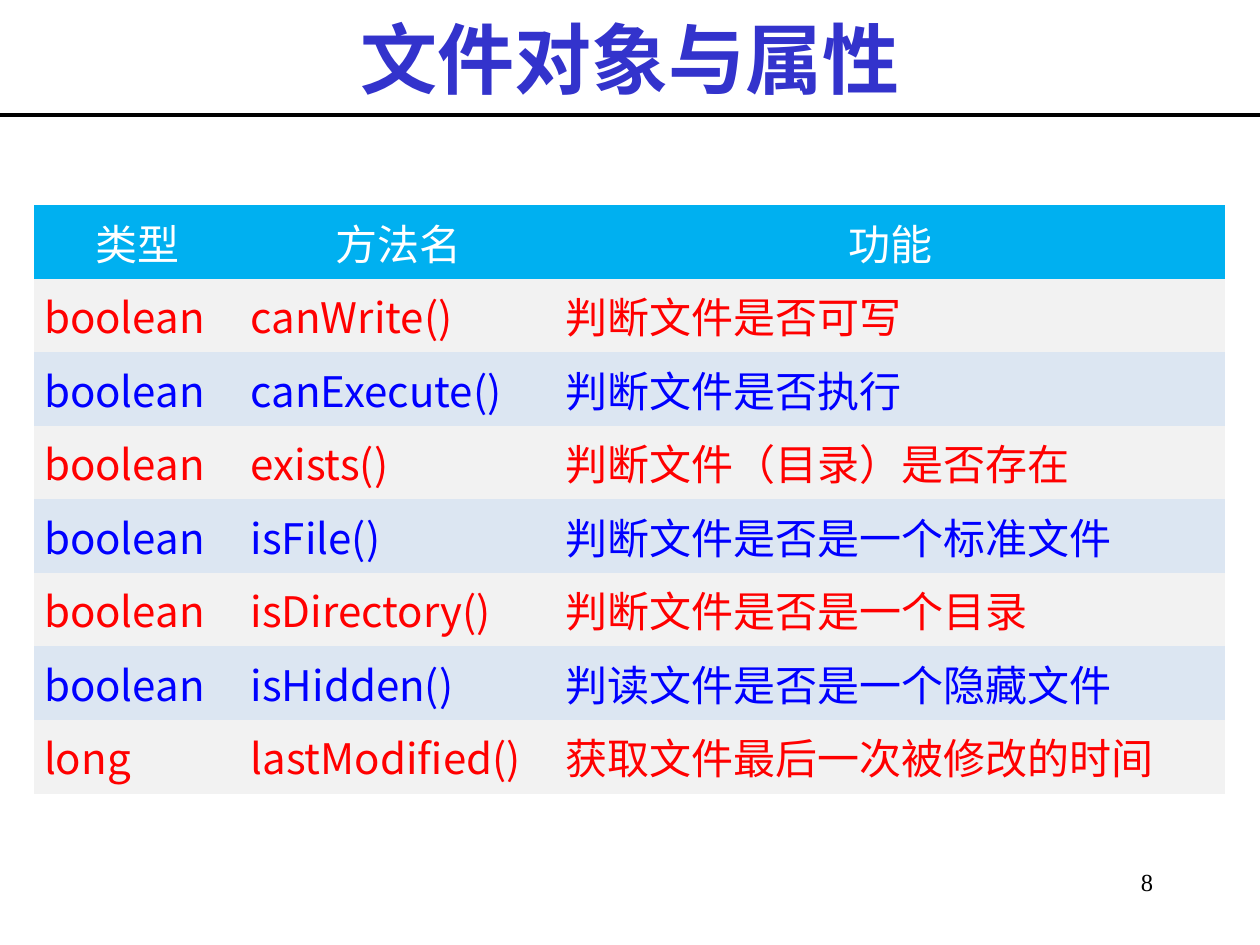
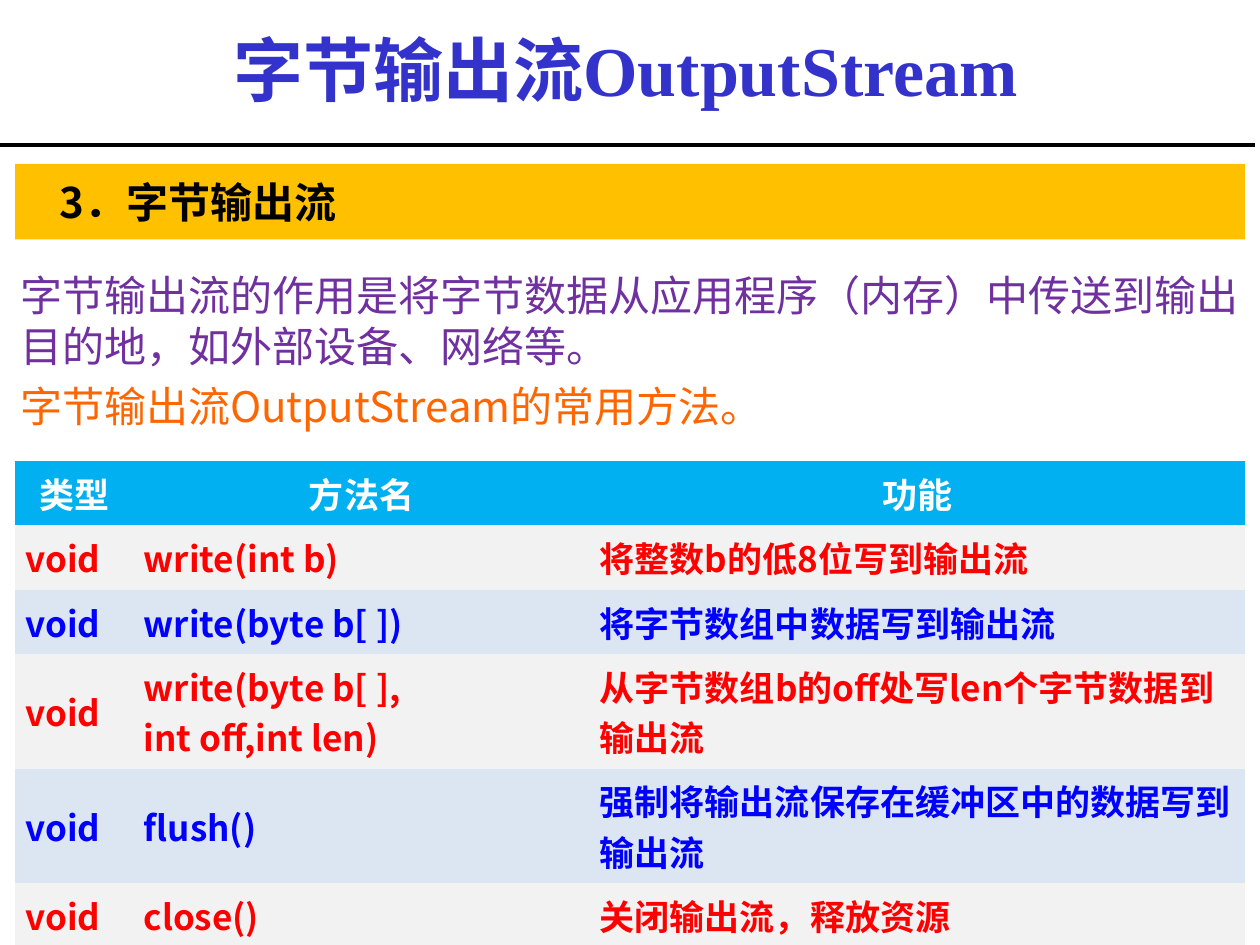
from lxml.etree import SubElement
from pptx import Presentation
from pptx.dml.color import RGBColor
from pptx.enum.shapes import MSO_CONNECTOR, MSO_SHAPE
from pptx.enum.text import MSO_ANCHOR, PP_ALIGN
from pptx.oxml.ns import qn
from pptx.util import Inches, Pt

HEADS = ("类型", "方法名", "功能")
FILE = {
    "title": "文件对象与属性", "size": 44, "box": (0.75, 0.07, 8.5, 0.77),
    "rule": (0, 0.91),
    "table": {
        "at": (0.27, 1.63), "cols": (1.64, 2.5, 5.31),
        "rows": (4.67 / 8,) * 8, "pad": 0.08, "size": 24, "bold": False,
        "body": [
            ("boolean", "canWrite()", "判断文件是否可写"),
            ("boolean", "canExecute()", "判断文件是否执行"),
            ("boolean", "exists()", "判断文件（目录）是否存在"),
            ("boolean", "isFile()", "判断文件是否是一个标准文件"),
            ("boolean", "isDirectory()", "判断文件是否是一个目录"),
            ("boolean", "isHidden()", "判读文件是否是一个隐藏文件"),
            ("long", "lastModified()", "获取文件最后一次被修改的时间"),
        ],
    },
}
STREAM = {
    "title": "字节输出流OutputStream", "size": 40, "box": (0.48, 0.09, 8.97, 0.91),
    "rule": (-0.04, 1.15),
    "table": {
        "at": (0.12, 3.66), "cols": (0.94, 3.62, 5.2),
        "rows": (0.51, 0.51, 0.51, 0.91, 0.91, 0.51),
        "pad": 0.08, "size": 20, "bold": True,
        "body": [
            ("void", "write(int b)", "将整数b的低8位写到输出流"),
            ("void", "write(byte b[ ])", "将字节数组中数据写到输出流"),
            ("void", "write(byte b[ ],\nint off,int len)",
             "从字节数组b的off处写len个字节数据到输出流"),
            ("void", "flush()", "强制将输出流保存在缓冲区中的数据写到输出流"),
            ("void", "close()", "关闭输出流，释放资源"),
        ],
    },
}
PAGE = "8"
TOPIC = "3．字节输出流"
INTRO = (
    "字节输出流的作用是将字节数据从应用程序（内存）中传送到输出目的地，如外部设备、网络等。",
    "字节输出流OutputStream的常用方法。",
)

SANS, SERIF = "Noto Sans CJK SC", "Times New Roman"
BLACK = RGBColor(0x00, 0x00, 0x00)
WHITE = RGBColor(0xFF, 0xFF, 0xFF)
INDIGO = RGBColor(0x33, 0x33, 0xCC)
PURPLE = RGBColor(0x70, 0x30, 0xA0)
ORANGE = RGBColor(0xFF, 0x66, 0x00)
AMBER = RGBColor(0xFF, 0xC0, 0x00)
SKY = RGBColor(0x00, 0xB0, 0xF0)
RED = RGBColor(0xFF, 0x00, 0x00)
BLUE = RGBColor(0x00, 0x00, 0xFF)
GREY = RGBColor(0xF2, 0xF2, 0xF2)
PALE = RGBColor(0xDC, 0xE6, 0xF2)
BANDS = ((RED, GREY), (BLUE, PALE))
PLAIN = "{2D5ABB26-0587-4C30-8999-92F81FD0307C}"


def style(para, size, color, bold=False, face=SANS, align=PP_ALIGN.LEFT):
    para.alignment = align
    font = para.font
    font.size, font.bold, font.name = Pt(size), bold, face
    font.color.rgb = color
    props = para._p.get_or_add_pPr().get_or_add_defRPr()
    SubElement(props, qn("a:ea")).set("typeface", SANS)


def pad(item, side, edge):
    item.margin_left = item.margin_right = Inches(side)
    item.margin_top = item.margin_bottom = Inches(edge)


def add_text(slide, box, text, side=0.1, edge=0.05):
    frame = slide.shapes.add_textbox(*map(Inches, box)).text_frame
    frame.word_wrap = True
    pad(frame, side, edge)
    frame.text = text
    return frame


def add_prose(slide, box, lines, colors, bold=False):
    frame = add_text(slide, box, "\n".join(lines), 0.13, 0.07)
    for i, (para, color) in enumerate(zip(frame.paragraphs, colors)):
        if i:
            para.space_before = Pt(6)
        style(para, 24, color, bold)


def add_head(slide, data):
    frame = add_text(slide, data["box"], data["title"])
    frame.vertical_anchor = MSO_ANCHOR.MIDDLE
    style(frame.paragraphs[0], data["size"], INDIGO, True, SERIF, PP_ALIGN.CENTER)
    x, y = data["rule"]
    rule = slide.shapes.add_connector(
        MSO_CONNECTOR.STRAIGHT, Inches(x), Inches(y), Inches(x + 10), Inches(y))
    rule.line.color.rgb = BLACK
    rule.line.width = Pt(2.25)
    SubElement(rule._element.spPr, qn("a:effectLst"))


def add_grid(slide, data):
    rows, cols = data["rows"], data["cols"]
    area = (*data["at"], sum(cols), sum(rows))
    table = slide.shapes.add_table(len(rows), len(cols), *map(Inches, area)).table
    table.first_row = table.horz_banding = False
    table._tbl.tblPr.find(qn("a:tableStyleId")).text = PLAIN
    for col, width in zip(table.columns, cols):
        col.width = Inches(width)
    for i, words in enumerate([HEADS] + data["body"]):
        table.rows[i].height = Inches(rows[i])
        color, fill = BANDS[(i - 1) % 2] if i else (WHITE, SKY)
        align = PP_ALIGN.LEFT if i else PP_ALIGN.CENTER
        for j, word in enumerate(words):
            cell = table.cell(i, j)
            cell.text = word
            cell.vertical_anchor = MSO_ANCHOR.MIDDLE
            pad(cell, data["pad"], 0.05)
            cell.fill.solid()
            cell.fill.fore_color.rgb = fill
            for para in cell.text_frame.paragraphs:
                style(para, data["size"], color, data["bold"], align=align)


def add_slide(deck, data):
    slide = deck.slides.add_slide(deck.slide_layouts[6])
    add_head(slide, data)
    add_grid(slide, data["table"])
    return slide


def main():
    deck = Presentation()
    deck.slide_width, deck.slide_height = Inches(10), Inches(7.5)

    slide = add_slide(deck, FILE)
    frame = add_text(slide, (8.17, 6.83, 1.08, 0.5), PAGE)
    style(frame.paragraphs[0], 14, BLACK, face=SERIF, align=PP_ALIGN.RIGHT)

    slide = add_slide(deck, STREAM)
    add_prose(slide, (0.03, 2.07, 9.94, 1.47), INTRO, (PURPLE, ORANGE))
    band = slide.shapes.add_shape(
        MSO_SHAPE.RECTANGLE, *map(Inches, (0.12, 1.3, 9.76, 0.6)))
    band.shadow.inherit = False
    band.fill.solid()
    band.fill.fore_color.rgb = AMBER
    band.line.fill.background()
    add_prose(slide, (0.34, 1.33, 10.19, 0.58), [TOPIC], [BLACK], True)

    deck.save("out.pptx")


if __name__ == "__main__":
    main()
